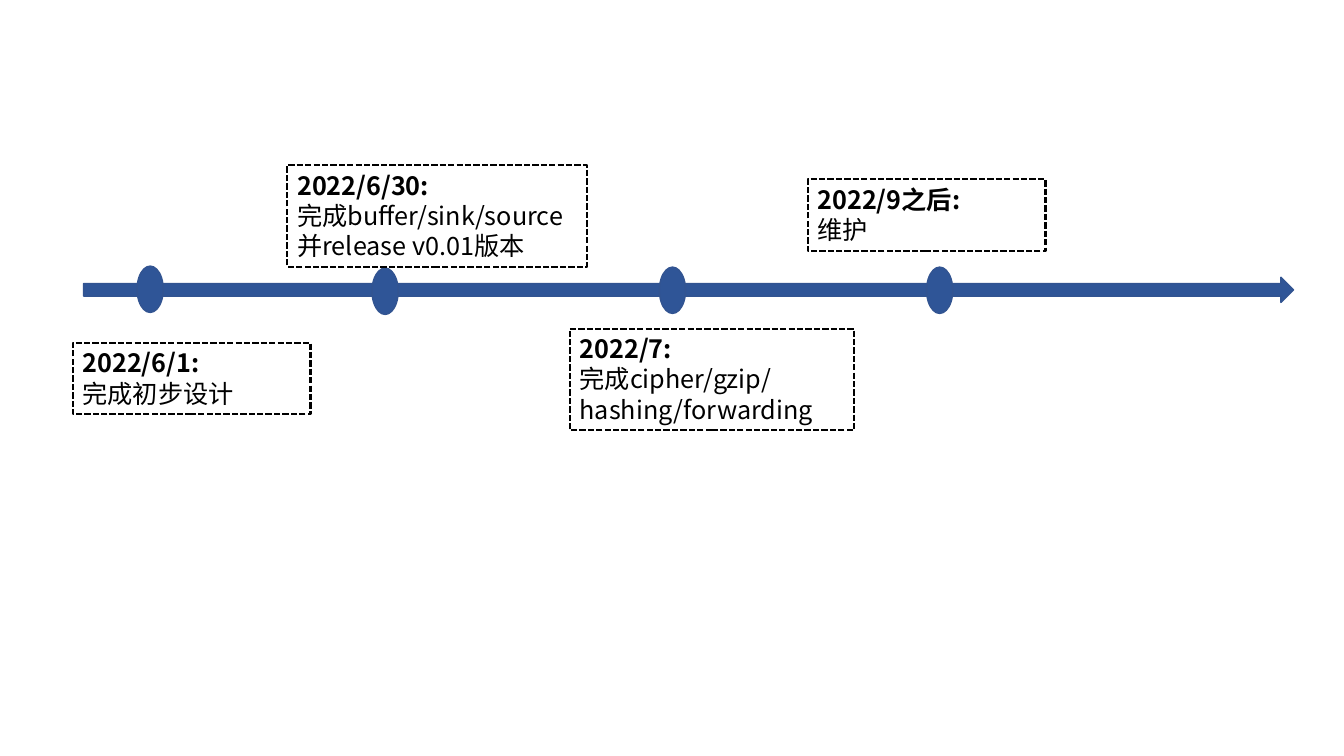
from pptx import Presentation
from pptx.dml.color import RGBColor
from pptx.enum.dml import MSO_LINE
from pptx.enum.shapes import MSO_SHAPE
from pptx.enum.text import MSO_ANCHOR, MSO_AUTO_SIZE, PP_ALIGN
from pptx.oxml.ns import qn
from pptx.util import Emu, Pt
from lxml.etree import SubElement

PX = 9144
BLUE = RGBColor(0x2F, 0x55, 0x97)
EDGE = RGBColor(0x32, 0x54, 0x91)
BLACK = RGBColor(0x00, 0x00, 0x00)
FONT = "Noto Sans CJK SC"

deck = Presentation()
deck.slide_width = Emu(1333 * PX)
deck.slide_height = Emu(750 * PX)
page = deck.slides.add_slide(deck.slide_layouts[6])


def add_figure(kind, left, top, width, height, fill=None, line=EDGE, weight=1):
    figure = page.shapes.add_shape(
        kind, *(Emu(length * PX) for length in (left, top, width, height)))
    figure.shadow.inherit = False
    if fill is None:
        figure.fill.background()
    else:
        figure.fill.solid()
        figure.fill.fore_color.rgb = fill
    figure.line.color.rgb = line
    figure.line.width = Pt(weight)
    return figure


def add_text(para, text, size=18, bold=False, color=BLACK):
    para.alignment = PP_ALIGN.LEFT
    para.line_spacing = Pt(21.6)
    span = para.add_run()
    span.text = text
    span.font.size = Pt(size)
    span.font.bold = bold
    span.font.color.rgb = color
    span.font.name = FONT
    SubElement(span.font._element, qn("a:ea")).set("typeface", FONT)


add_figure(MSO_SHAPE.RIGHT_ARROW, 83, 275, 1200, 25, fill=BLUE)

for left, top in [(136, 264), (369, 266), (654, 265), (919, 265)]:
    add_figure(MSO_SHAPE.OVAL, left, top, 26, 46, fill=BLUE)

milestones = [
    (72, 340, 236, ["2022/6/1:", "完成初步设计"]),
    (285, 164, 297, ["2022/6/30:", "完成buffer/sink/source", "并release v0.01版本"]),
    (565, 326, 282, ["2022/7:", "完成cipher/gzip/", "hashing/forwarding"]),
    (801, 178, 236, ["2022/9之后:", "维护"]),
]

for left, top, width, lines in milestones:
    box = add_figure(MSO_SHAPE.RECTANGLE, left, top, width, 11 + 30 * len(lines),
                     line=BLACK, weight=1.5)
    box.line.dash_style = MSO_LINE.SQUARE_DOT
    frame = box.text_frame
    frame.word_wrap = True
    frame.auto_size = MSO_AUTO_SIZE.SHAPE_TO_FIT_TEXT
    frame.vertical_anchor = MSO_ANCHOR.TOP
    for index, text in enumerate(lines):
        para = frame.add_paragraph() if index else frame.paragraphs[0]
        add_text(para, text, bold=index == 0)

deck.save("out.pptx")
